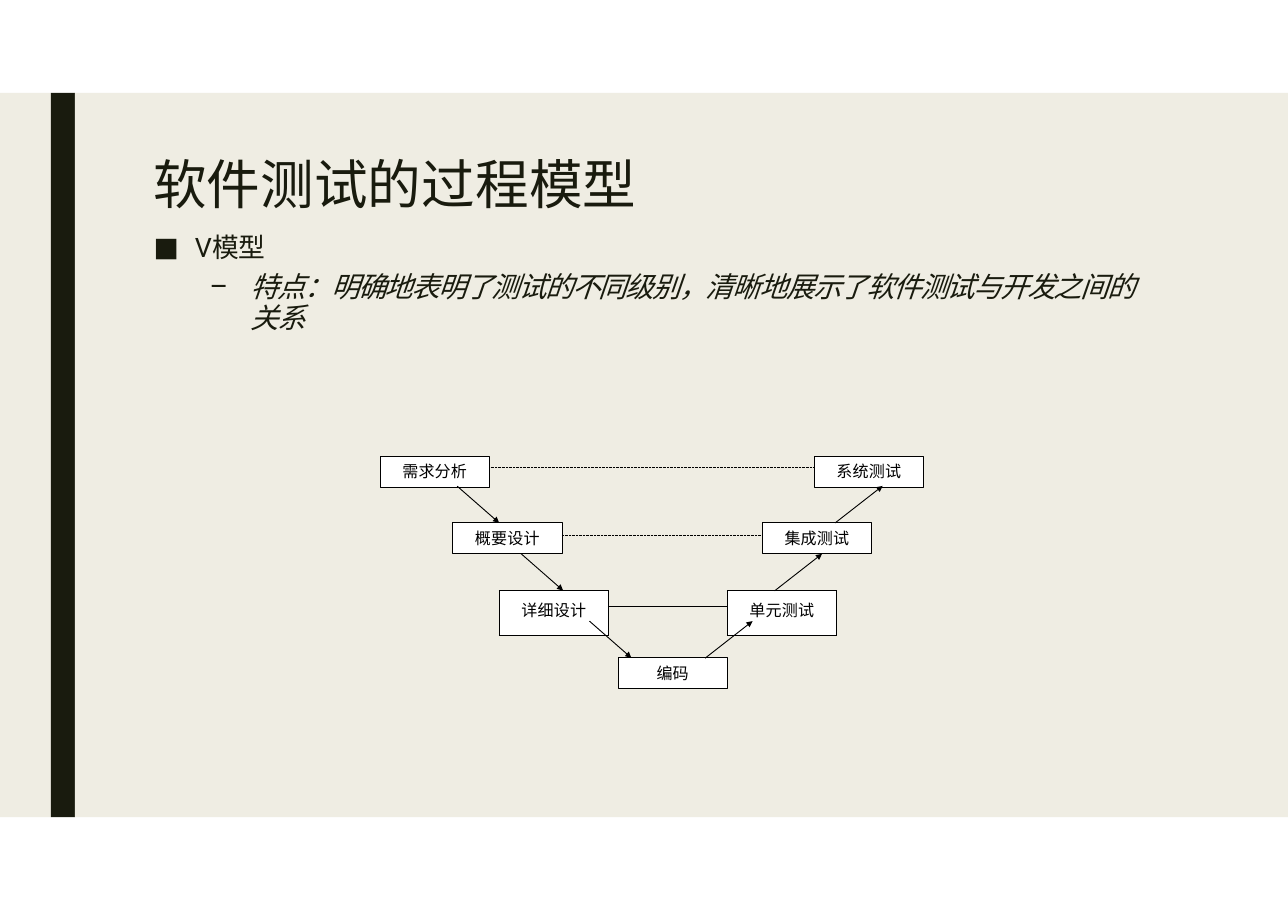
"""Build a slide on the V model of software testing."""
import pptx
import pptx.util
import pptx.dml.color
import pptx.enum.dml
import pptx.enum.shapes
import pptx.enum.text
import pptx.oxml.ns
from lxml import etree

Pt = pptx.util.Pt
RGB = pptx.dml.color.RGBColor.from_string
ALIGN = pptx.enum.text.PP_ALIGN
ANCHOR = pptx.enum.text.MSO_ANCHOR
RECT = pptx.enum.shapes.MSO_SHAPE.RECTANGLE
STRAIGHT = pptx.enum.shapes.MSO_CONNECTOR.STRAIGHT
qn = pptx.oxml.ns.qn

COLORS = {"panel": "EFEDE3", "dark": "191B0E", "box": "FFFFFF", "line": "000000"}
CJK = "Noto Sans CJK SC"
NO_MARGINS = {"margin_left": 0, "margin_top": 0, "margin_right": 0, "margin_bottom": 0}
FRAME = {**NO_MARGINS, "word_wrap": True, "auto_size": pptx.enum.text.MSO_AUTO_SIZE.NONE}
TEXT_FRAME = {**FRAME, "vertical_anchor": ANCHOR.TOP}
BOX_FRAME = {**FRAME, "vertical_anchor": ANCHOR.MIDDLE}


def set_attrs(obj, values):
    for name, value in values.items():
        setattr(obj, name, value)


def add_run(p, text, size, color, font=CJK, italic=False, spacing=0):
    r = p.add_run()
    r.text = text
    set_attrs(r.font, {"size": Pt(size), "name": font, "italic": italic, "bold": False})
    r.font.color.rgb = RGB(COLORS[color])
    rPr = r.font._element
    rPr.set("spc", str(spacing))
    ea = etree.Element(qn("a:ea"), typeface=CJK)
    rPr.find(qn("a:latin")).addnext(ea)


prs = pptx.Presentation()
set_attrs(prs, {"slide_width": Pt(841.68), "slide_height": Pt(595.44)})
s = prs.slides.add_slide(prs.slide_layouts[1])

panels = [(0, 33.3, "panel"), (33.3, 15.7, "dark"), (49, 792.68, "panel")]
for i, (left, width, color) in enumerate(panels):
    sp = s.shapes.add_shape(RECT, Pt(left), Pt(60.7), Pt(width), Pt(473.5))
    sp.shadow.inherit = False
    sp.fill.solid()
    sp.fill.fore_color.rgb = RGB(COLORS[color])
    sp.line.fill.background()
    s.shapes._spTree.insert(2 + i, sp._element)

title = s.shapes.title
set_attrs(title, {"left": Pt(100), "top": Pt(98.6), "width": Pt(400), "height": Pt(51)})
set_attrs(title.text_frame, TEXT_FRAME)
p = title.text_frame.paragraphs[0]
set_attrs(p, {"alignment": ALIGN.LEFT, "line_spacing": 1.0, "space_before": Pt(0)})
add_run(p, "软件测试的过程模型", 35, "dark", spacing=10)

body = s.placeholders[1]
set_attrs(body, {"left": Pt(100), "top": Pt(151), "width": Pt(644), "height": Pt(72)})
tf = body.text_frame
set_attrs(tf, TEXT_FRAME)
bullets = [
    (0, "■", 27.4, 1.0, 0, [("V", 17.5, "Roboto", False, 0), ("模型", 17.5, CJK, False, 0)]),
    (1, "–", 64, Pt(20), 6.5,
     [("特点：明确地表明了测试的不同级别，清晰地展示了软件测试与开发之间的 关系", 18.5, CJK, True, -100)]),
]
for level, mark, indent, spacing, before, runs in bullets:
    p = tf.paragraphs[0] if level == 0 else tf.add_paragraph()
    set_attrs(p, {"level": level, "alignment": ALIGN.LEFT, "line_spacing": spacing,
                  "space_before": Pt(before), "space_after": Pt(0)})
    pPr = p._p.get_or_add_pPr()
    pPr.set("marL", str(Pt(indent)))
    pPr.set("indent", str(Pt(-27)))
    etree.SubElement(pPr, qn("a:buFont"), typeface="Roboto")
    etree.SubElement(pPr, qn("a:buChar"), char=mark)
    for text, size, font, italic, spc in runs:
        add_run(p, text, size, "dark", font, italic, spc)

boxes = [
    ("需求分析", 248.4, 298.1),
    ("概要设计", 295.9, 341.3),
    ("编码", 403.9, 429.8),
    ("系统测试", 532.1, 298.1),
    ("集成测试", 498.2, 341.3),
]
for text, left, top in boxes:
    sp = s.shapes.add_shape(RECT, Pt(left), Pt(top), Pt(71.3), Pt(20.3))
    sp.shadow.inherit = False
    sp.fill.solid()
    sp.fill.fore_color.rgb = RGB(COLORS["box"])
    sp.line.color.rgb = RGB(COLORS["line"])
    sp.line.width = Pt(0.45)
    set_attrs(sp.text_frame, BOX_FRAME)
    p = sp.text_frame.paragraphs[0]
    p.alignment = ALIGN.CENTER
    add_run(p, text, 10.5, "line", spacing=20)

table = s.shapes.add_table(2, 3, Pt(326.2), Pt(385.9), Pt(220.3), Pt(27.4)).table
set_attrs(table, {"first_row": False, "horz_banding": False})
style = table._tbl.tblPr.find(qn("a:tableStyleId"))
style.text = "{2D5ABB26-0587-4C30-8999-92F81FD0307C}"
for col, width in zip(table.columns, (71.3, 77.7, 71.3)):
    col.width = Pt(width)
for row, height in zip(table.rows, (10.3, 17.1)):
    row.height = Pt(height)
for col in (0, 2):
    table.cell(0, col).merge(table.cell(1, col))
labels = {(0, 0): "详细设计", (0, 2): "单元测试"}
for row in range(2):
    for col in range(3):
        cell = table.cell(row, col)
        set_attrs(cell, {**NO_MARGINS, "vertical_anchor": ANCHOR.MIDDLE})
        middle_sides = ("L", "R", "B") if row == 0 else ("L", "R", "T")
        for side in middle_sides if col == 1 else ("L", "R", "T", "B"):
            ln = etree.SubElement(cell._tc.get_or_add_tcPr(), qn("a:ln" + side), w=str(Pt(0.5)))
            fill = etree.SubElement(ln, qn("a:solidFill"))
            etree.SubElement(fill, qn("a:srgbClr"), val=COLORS["line"])
        cell.fill.solid()
        cell.fill.fore_color.rgb = RGB(COLORS["panel" if col == 1 else "box"])
        p = cell.text_frame.paragraphs[0]
        if (row, col) in labels:
            cell.margin_bottom = Pt(4)
            p.alignment = ALIGN.CENTER
            add_run(p, labels[row, col], 10.5, "line", spacing=20)
        else:
            etree.SubElement(p._p, qn("a:endParaRPr"), sz="100")

links = [(319.7, 305.3, 212.4, 0, False), (367.2, 349.9, 131, 0, False)]
links += [(x, y, 27.4, 24, True) for x, y in ((298.8, 317.8), (340.6, 362), (385.2, 406))]
links += [(x, y, 31, -24.2, True) for x, y in ((460.8, 430.2), (506.2, 386.2), (545.8, 341.8))]
for x, y, dx, dy, arrow in links:
    cxn = s.shapes.add_connector(STRAIGHT, Pt(x), Pt(y), Pt(x + dx), Pt(y + dy))
    cxn.line.color.rgb = RGB(COLORS["line"])
    cxn.line.width = Pt(0.6 if arrow else 0.45)
    if arrow:
        etree.SubElement(cxn.line._get_or_add_ln(), qn("a:tailEnd"), type="triangle", w="sm", len="sm")
    else:
        cxn.line.dash_style = pptx.enum.dml.MSO_LINE.ROUND_DOT
    etree.SubElement(cxn._element.spPr, qn("a:effectLst"))

prs.save("out.pptx")
